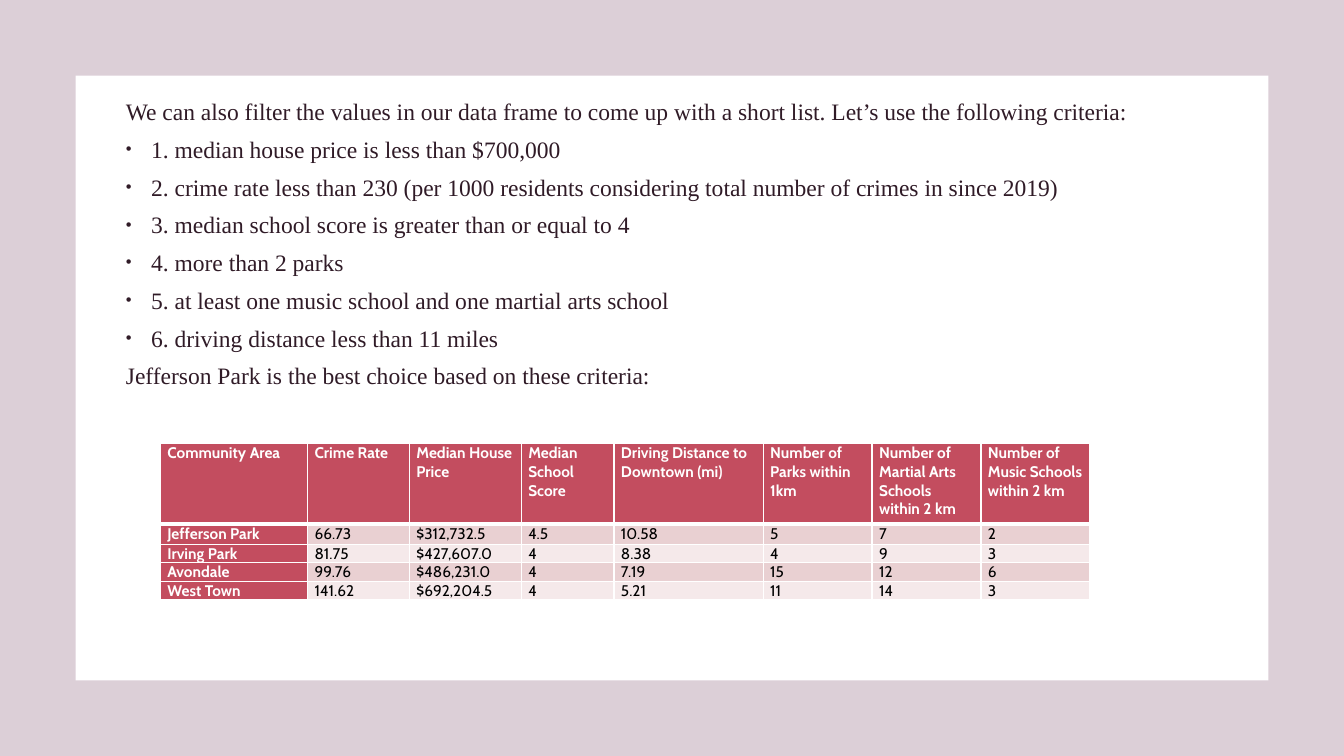
import pptx
import pptx.dml.color
import pptx.enum.shapes
import pptx.enum.text
import pptx.oxml
import pptx.oxml.ns
import pptx.util
from lxml import etree
from pptx.util import Inches

INTRO = "We can also filter the values in our data frame to come up with a short list. Let’s use the following criteria:"
CRITERIA = [
    "1. median house price is less than $700,000",
    "2. crime rate less than 230 (per 1000 residents considering total number of crimes in since 2019)",
    "3. median school score is greater than or equal to 4",
    "4. more than 2 parks",
    "5. at least one music school and one martial arts school",
    "6. driving distance less than 11 miles",
]
CONCLUSION = "Jefferson Park is the best choice based on these criteria:"

COLUMNS = [
    ("Community Area", 1.46),
    ("Crime Rate", 1.01),
    ("Median House Price", 1.11),
    ("Median School Score", 0.92),
    ("Driving Distance to Downtown (mi)", 1.48),
    ("Number of Parks within 1km", 1.08),
    ("Number of Martial Arts Schools within 2 km", 1.08),
    ("Number of Music Schools within 2 km", 1.08),
]
AREAS = [
    ("Jefferson Park", "66.73", "$312,732.5", "4.5", "10.58", "5", "7", "2"),
    ("Irving Park", "81.75", "$427,607.0", "4", "8.38", "4", "9", "3"),
    ("Avondale", "99.76", "$486,231.0", "4", "7.19", "15", "12", "6"),
    ("West Town", "141.62", "$692,204.5", "4", "5.21", "11", "14", "3"),
]
ROW_HEIGHTS = [0.8, 0.2, 0.17, 0.17, 0.17]

THEME = {
    "frame": "764260", "frame_alpha": 25, "panel": "FFFFFF",
    "body": "301B27", "body_font": "Times New Roman", "body_size": 16.8,
    "accent": "C34D5F", "bands": ("E9D0D2", "F5E9EA"),
    "accent_text": "FFFFFF", "cell_text": "000000",
    "table_font": "Cabin", "table_size": 11,
    "border": "FFFFFF", "thin": 1, "thick": 3,
}


def color(value):
    return pptx.dml.color.RGBColor.from_string(value)


def add_xml(parent, tag, **attributes):
    child = etree.SubElement(parent, pptx.oxml.ns.qn(tag))
    for name, value in attributes.items():
        child.set(name, str(value))
    return child


def add_panel(page, left, top, width, height, fill):
    panel = page.shapes.add_shape(
        pptx.enum.shapes.MSO_SHAPE.RECTANGLE,
        Inches(left), Inches(top), Inches(width), Inches(height))
    panel.shadow.inherit = False
    panel.line.fill.background()
    panel.fill.solid()
    panel.fill.fore_color.rgb = color(fill)
    return panel


def add_span(para, text, font, size, fill, bold=False):
    span = para.add_run()
    span.text = text
    span.font.name = font
    span.font.size = pptx.util.Pt(size)
    span.font.color.rgb = color(fill)
    span.font.bold = bold


def add_criteria(page):
    box = page.shapes.add_textbox(Inches(1.15), Inches(0.96), Inches(10.38), Inches(3.23))
    frame = box.text_frame
    frame.word_wrap = True
    for index, text in enumerate([INTRO, *CRITERIA, CONCLUSION]):
        para = frame.add_paragraph() if index else frame.paragraphs[0]
        para.line_spacing = 0.84
        para.space_before = pptx.util.Pt(10 if index else 0)
        if text in CRITERIA:
            properties = para._p.get_or_add_pPr()
            properties.set("marL", str(Inches(0.25)))
            properties.set("indent", str(-Inches(0.25)))
            add_xml(properties, "a:buSzPct", val=70000)
            add_xml(properties, "a:buFont", typeface="Arial")
            add_xml(properties, "a:buChar", char="•")
        add_span(para, text, THEME["body_font"], THEME["body_size"], THEME["body"])


def set_borders(cell, row):
    properties = cell._tc.get_or_add_tcPr()
    thick_side = {0: "a:lnB", 1: "a:lnT"}.get(row)
    for side in ("a:lnL", "a:lnR", "a:lnT", "a:lnB"):
        width = THEME["thick"] if side == thick_side else THEME["thin"]
        line = add_xml(properties, side, w=pptx.util.Pt(width))
        add_xml(add_xml(line, "a:solidFill"), "a:srgbClr", val=THEME["border"])


def add_areas(page):
    rows = [[heading for heading, width in COLUMNS], *AREAS]
    table = page.shapes.add_table(
        len(rows), len(COLUMNS), Inches(1.59), Inches(4.4),
        Inches(sum(width for heading, width in COLUMNS)), Inches(sum(ROW_HEIGHTS))).table
    table.first_col = True
    for column, (heading, width) in zip(table.columns, COLUMNS):
        column.width = Inches(width)
    for row, values in enumerate(rows):
        table.rows[row].height = Inches(ROW_HEIGHTS[row])
        for column, text in enumerate(values):
            cell = table.cell(row, column)
            cell.margin_left = cell.margin_right = Inches(0.07)
            cell.margin_top = cell.margin_bottom = 0
            set_borders(cell, row)
            heading = row == 0 or column == 0
            cell.fill.solid()
            cell.fill.fore_color.rgb = color(
                THEME["accent"] if heading else THEME["bands"][(row - 1) % 2])
            add_span(cell.text_frame.paragraphs[0], text, THEME["table_font"], THEME["table_size"],
                     THEME["accent_text"] if heading else THEME["cell_text"], heading)


def main():
    deck = pptx.Presentation()
    deck.slide_width, deck.slide_height = Inches(13.33), Inches(7.5)
    page = deck.slides.add_slide(deck.slide_layouts[6])
    frame = add_panel(page, 0, 0, 13.33, 7.5, THEME["frame"])
    frame_color = frame._element.spPr.find(".//" + pptx.oxml.ns.qn("a:srgbClr"))
    add_xml(frame_color, "a:alpha", val=THEME["frame_alpha"] * 1000)
    add_panel(page, 0.75, 0.75, 11.83, 6, THEME["panel"])
    add_criteria(page)
    add_areas(page)
    deck.save("out.pptx")


if __name__ == "__main__":
    main()
